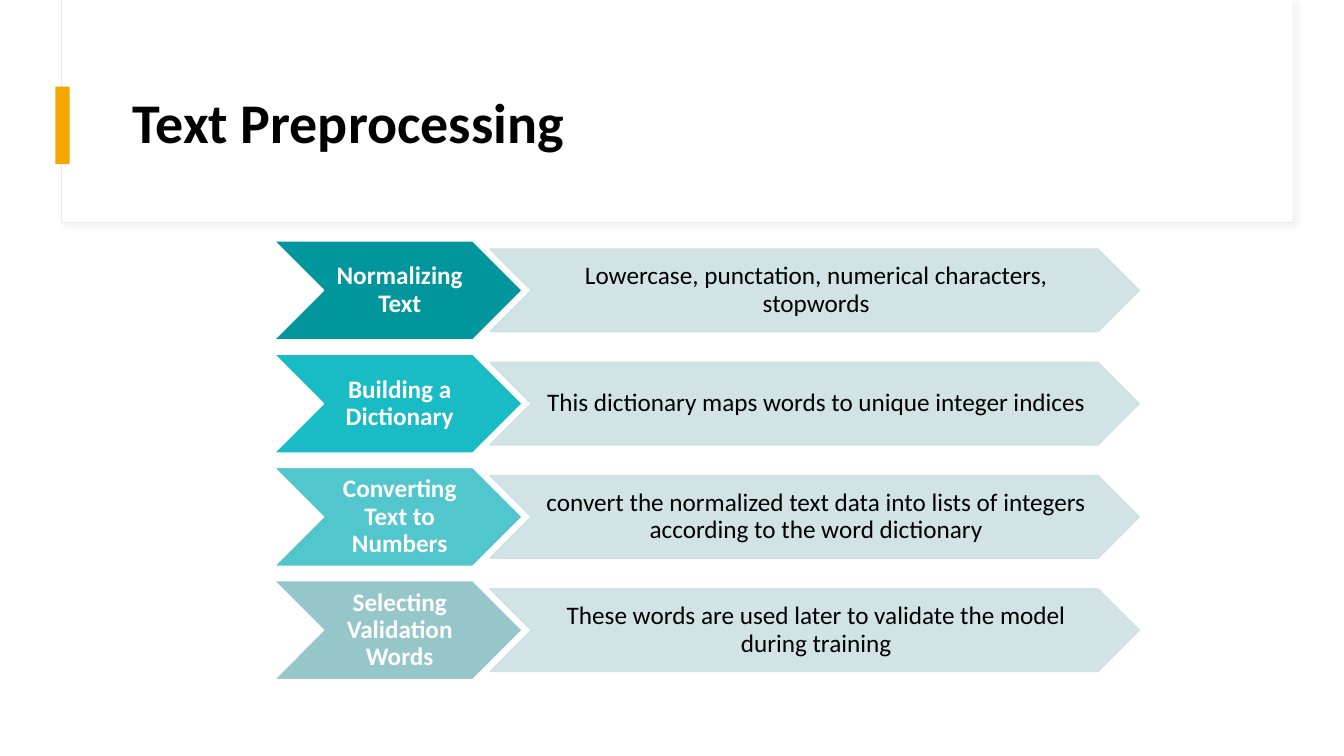
from lxml import etree
from pptx import Presentation
from pptx.dml.color import RGBColor
from pptx.enum.shapes import MSO_SHAPE
from pptx.enum.text import MSO_ANCHOR, PP_ALIGN
from pptx.oxml.ns import qn
from pptx.util import Pt

RECTANGLE, CHEVRON = MSO_SHAPE.RECTANGLE, MSO_SHAPE.CHEVRON
LEFT, CENTER = PP_ALIGN.LEFT, PP_ALIGN.CENTER
MIDDLE = MSO_ANCHOR.MIDDLE

TITLE = "Text Preprocessing"
STEPS = [
    ("Normalizing Text", "00969B",
     "Lowercase, punctation, numerical characters, stopwords"),
    ("Building a Dictionary", "19BCC4",
     "This dictionary maps words to unique integer indices"),
    ("Converting Text to Numbers", "51C6CD",
     "convert the normalized text data into lists of integers "
     "according to the word dictionary"),
    ("Selecting Validation Words", "95C6C9",
     "These words are used later to validate the model during training"),
]
FONT = "Calibri"
WHITE, BLACK, ACCENT = "FFFFFF", "000000", "F5A700"
CARD_LINE, CARD_SHADOW, DETAIL_FILL = "E9E9E9", "D9D9D9", "CCE1E2"

PX = 9144  # 100 px to the inch
SLIDE_W, SLIDE_H = 1333, 750
STEP_X, STEP_Y, STEP_W, STEP_H = 272, 239, 246, 98
STEP_PITCH = 112.4
DETAIL_X, DETAIL_W, DETAIL_H = 486, 644, 82


def emu(*lengths):
    return [round(length * PX) for length in lengths]


def rgb(color):
    return RGBColor.from_string(color)


def set_alpha(color_parent, percent):
    color = next(color_parent.iter(qn("a:srgbClr")))
    etree.SubElement(color, qn("a:alpha"), val=str(percent * 1000))


def add_block(slide, kind, box, fill, line=None, width=1, alpha=None):
    block = slide.shapes.add_shape(kind, *emu(*box))
    block.shadow.inherit = False
    block.fill.solid()
    block.fill.fore_color.rgb = rgb(fill)
    if line:
        block.line.color.rgb = rgb(line)
        block.line.width = Pt(width)
    else:
        block.line.fill.background()
    if alpha:
        properties = block._element.spPr
        set_alpha(properties.find(qn("a:solidFill")), alpha)
        set_alpha(properties.find(qn("a:ln")), alpha)
    return block


def add_soft_shadow(block, color):
    effects = block._element.spPr.find(qn("a:effectLst"))
    shadow = etree.SubElement(effects, qn("a:outerShdw"), blurRad=str(Pt(4)),
                              dist=str(Pt(3)), dir=str(45 * 60000))
    etree.SubElement(shadow, qn("a:srgbClr"), val=color)
    set_alpha(shadow, 30)


def write(shape, text, size=18, color=BLACK, bold=False, align=CENTER,
          insets=(3, 1, 0, 1)):
    frame = shape.text_frame
    frame.word_wrap = True
    frame.vertical_anchor = MIDDLE
    (frame.margin_left, frame.margin_top,
     frame.margin_right, frame.margin_bottom) = emu(*insets)
    paragraph = frame.paragraphs[0]
    paragraph.alignment = align
    paragraph.line_spacing = 0.9
    run = paragraph.add_run()
    run.text = text
    run.font.name = FONT
    run.font.size = Pt(size)
    run.font.bold = bold
    run.font.color.rgb = rgb(color)


def add_header(slide):
    card = add_block(slide, RECTANGLE, (61, 0, 1221, 221), WHITE,
                     line=CARD_LINE, width=0.75)
    add_soft_shadow(card, CARD_SHADOW)
    add_block(slide, RECTANGLE, (62, 0, 1220, 220), WHITE)
    add_block(slide, RECTANGLE, (55, 86, 14, 77), ACCENT)
    title = slide.shapes.add_textbox(*emu(122, 60, 1112, 129))
    write(title, TITLE, size=40, bold=True, align=LEFT, insets=(10, 5, 10, 5))


def add_steps(slide):
    for index, (name, color, detail) in enumerate(STEPS):
        top = STEP_Y + index * STEP_PITCH
        step = add_block(slide, CHEVRON, (STEP_X, top, STEP_W, STEP_H),
                         color, line=WHITE)
        write(step, name, color=WHITE, bold=True)
        detail_top = top + (STEP_H - DETAIL_H) / 2
        arrow = add_block(slide, CHEVRON,
                          (DETAIL_X, detail_top, DETAIL_W, DETAIL_H),
                          DETAIL_FILL, line=DETAIL_FILL, alpha=90)
        write(arrow, detail)


def main():
    deck = Presentation()
    deck.slide_width, deck.slide_height = emu(SLIDE_W, SLIDE_H)
    slide = deck.slides.add_slide(deck.slide_layouts[6])
    add_header(slide)
    add_steps(slide)
    deck.save("out.pptx")


if __name__ == "__main__":
    main()
